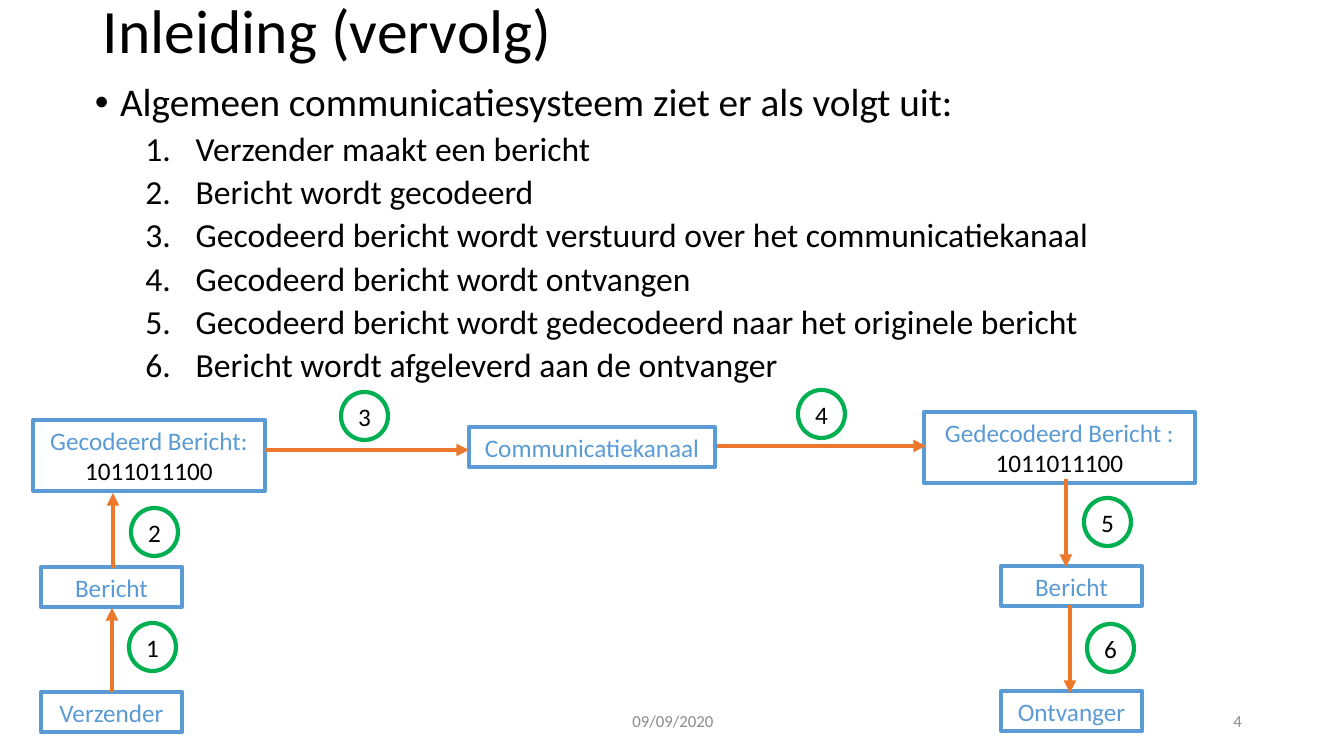
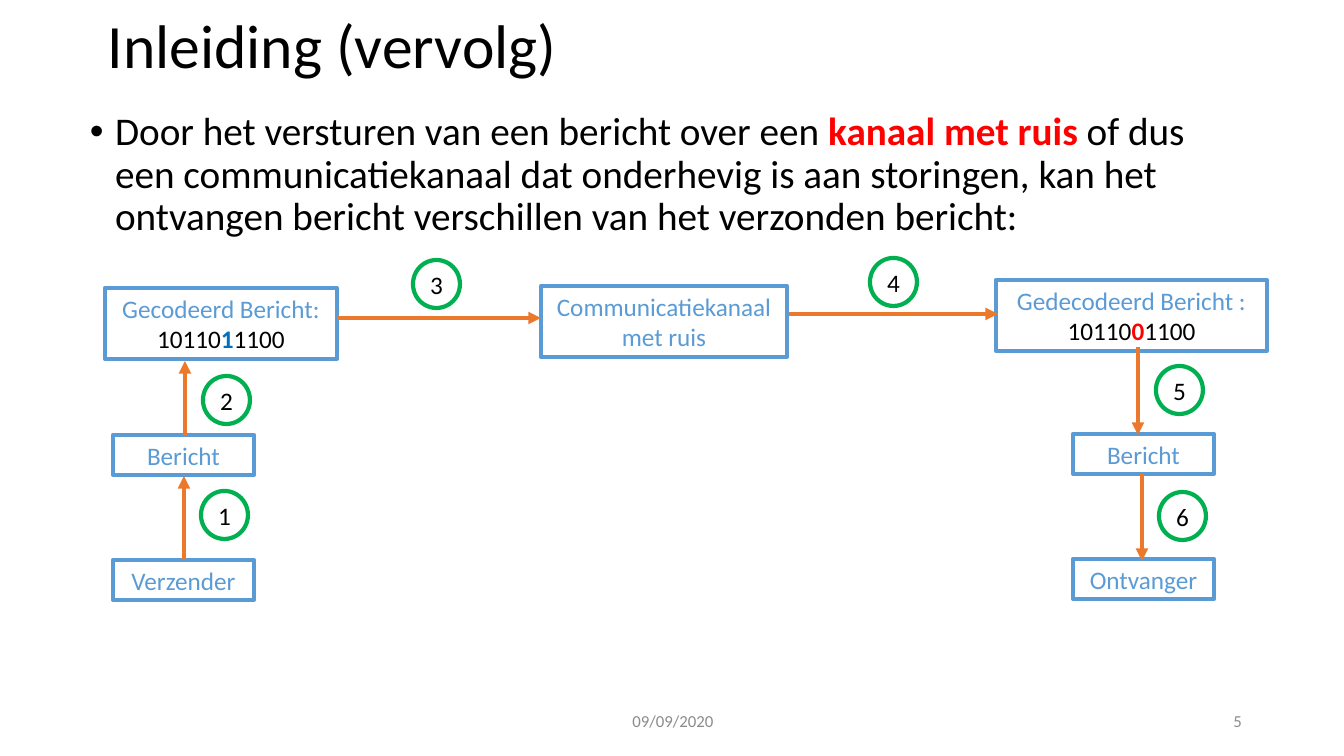
"""Build two slides that explain a communication system step by step."""
from dataclasses import dataclass

from lxml import etree
from pptx import Presentation
from pptx.dml.color import RGBColor
from pptx.enum.shapes import MSO_CONNECTOR, MSO_SHAPE
from pptx.enum.text import MSO_ANCHOR, MSO_AUTO_SIZE, PP_ALIGN
from pptx.oxml.ns import qn
from pptx.util import Inches, Pt

RECT, OVAL = MSO_SHAPE.RECTANGLE, MSO_SHAPE.OVAL
STRAIGHT = MSO_CONNECTOR.STRAIGHT
LEFT, CENTER, RIGHT = PP_ALIGN.LEFT, PP_ALIGN.CENTER, PP_ALIGN.RIGHT
TOP, MIDDLE = MSO_ANCHOR.TOP, MSO_ANCHOR.MIDDLE
FIT, FIXED = MSO_AUTO_SIZE.SHAPE_TO_FIT_TEXT, MSO_AUTO_SIZE.NONE


@dataclass(frozen=True)
class Theme:
    """Hold the shared colours, font and sizes."""
    font: str = "Calibri"
    black: str = "000000"
    white: str = "FFFFFF"
    blue: str = "5B9BD5"
    deep: str = "0070C0"
    red: str = "FF0000"
    green: str = "00B050"
    orange: str = "EC792B"
    gray: str = "8B8B8B"
    title: int = 44
    lead: int = 28
    item: int = 24
    label: int = 18
    foot: int = 12
    line: int = 3


THEME = Theme()
SCALE = 914400 / 100.8
WIDE, HIGH = 1344, 756

TITLE = "Inleiding (vervolg)"
DATE = "09/09/2020"
FIRST = 4
STEPS = [
    "Verzender maakt een bericht",
    "Bericht wordt gecodeerd",
    "Gecodeerd bericht wordt verstuurd over het communicatiekanaal",
    "Gecodeerd bericht wordt ontvangen",
    "Gecodeerd bericht wordt gedecodeerd naar het originele bericht",
    "Bericht wordt afgeleverd aan de ontvanger",
]
NOISE = [
    "Door het versturen van een bericht over een ",
    ("kanaal met ruis ", THEME.red, True),
    "of dus een communicatiekanaal dat onderhevig is aan storingen, "
    "kan het ontvangen bericht verschillen van het verzonden bericht:",
]


def bits(digit, color, bold):
    """Return the runs of a message with one digit styled."""
    return [("10110", THEME.black, False), (digit, color, bold),
            ("1100", THEME.black, False)]


SLIDES = [
    dict(title=(93, -39), body=(85, 78), shift=(0, 0),
         lead=["Algemeen communicatiesysteem ziet er als volgt uit:"],
         steps=STEPS, channel="Communicatiekanaal", place=(427, 40),
         sent=bits("1", THEME.black, False), got=bits("1", THEME.black, False)),
    dict(title=(98, -24), body=(80, 107), shift=(72, -132),
         lead=NOISE, steps=[], channel="Communicatiekanaal met ruis",
         place=(418, 71), sent=bits("1", THEME.deep, True),
         got=bits("0", THEME.red, True)),
]
NODES = [
    ("Verzender", 41, 692),
    ("Bericht", 41, 567),
    ("Bericht", 1001, 566),
    ("Ontvanger", 1001, 691),
]
ARROWS = [
    ((112, 692, 112, 608), (129, 623)),
    ((113, 568, 113, 493), (131, 508)),
    ((265, 450, 469, 450), (341, 392)),
    ((717, 446, 926, 446), (798, 390)),
    ((1066, 479, 1066, 567), (1084, 498)),
    ((1070, 605, 1070, 693), (1087, 624)),
]


def px(*nums):
    """Turn pixels into EMU."""
    return [round(num * SCALE) for num in nums]


def rgb(color):
    """Return the colour object of a hex text."""
    return RGBColor.from_string(color)


def write(shape, paras, size=THEME.label, color=THEME.black, align=LEFT,
          anchor=TOP, fit=FIXED, space=None):
    """Fill a shape with paragraphs made of runs."""
    frame = shape.text_frame
    frame.word_wrap = True
    frame.auto_size = fit
    frame.vertical_anchor = anchor
    for spot, runs in enumerate(paras):
        para = frame.paragraphs[0] if spot == 0 else frame.add_paragraph()
        para.alignment = align
        if space:
            para.line_spacing = space
        for part in runs:
            text, tint, bold = (part, color, False) if isinstance(part, str) else part
            run = para.add_run()
            run.text = text
            run.font.name = THEME.font
            run.font.size = Pt(size)
            run.font.bold = bold
            run.font.color.rgb = rgb(tint)
    return frame.paragraphs


def label(slide, box, paras, **style):
    """Add a text box."""
    return write(slide.shapes.add_textbox(*px(*box)), paras, **style)


def mark(para, tag, left, hang, before, **attrs):
    """Give a paragraph a hanging bullet or number."""
    para.space_before = Pt(before)
    props = para._p.get_or_add_pPr()
    props.set("marL", str(Inches(left)))
    props.set("indent", str(-Inches(hang)))
    face = "Arial" if tag == "a:buChar" else "+mj-lt"
    etree.SubElement(props, qn("a:buFont")).set("typeface", face)
    etree.SubElement(props, qn(tag), attrs)


def body(slide, spot, lead, steps):
    """Add the lead bullet and the numbered steps."""
    box = slide.shapes.add_textbox(*px(*spot, 1167, 559))
    paras = write(box, [lead] + [[step] for step in steps],
                  size=THEME.lead, space=0.9)
    mark(paras[0], "a:buChar", 0.25, 0.25, 10, char="\u2022")
    for para in paras[1:]:
        para.level = 1
        para.runs[0].font.size = Pt(THEME.item)
        mark(para, "a:buAutoNum", 1, 0.5, 5, type="arabicPeriod")


def shape(slide, kind, box, paras, edge, fill=None, **style):
    """Add an outlined shape with centred text."""
    item = slide.shapes.add_shape(kind, *px(*box))
    item.shadow.inherit = False
    if fill:
        item.fill.solid()
        item.fill.fore_color.rgb = rgb(fill)
    else:
        item.fill.background()
    item.line.color.rgb = rgb(edge)
    item.line.width = Pt(THEME.line)
    write(item, paras, align=CENTER, **style)


def arrow(slide, ends):
    """Add a line with an arrowhead at its end."""
    link = slide.shapes.add_connector(STRAIGHT, *px(*ends))
    link.line.color.rgb = rgb(THEME.orange)
    link.line.width = Pt(THEME.line)
    etree.SubElement(link.line._get_or_add_ln(), qn("a:tailEnd")).set("type", "triangle")
    etree.SubElement(link._element.spPr, qn("a:effectLst"))


def chart(slide, page):
    """Draw the boxes, arrows and step numbers."""
    dx, dy = page["shift"]
    top, high = page["place"]
    boxes = [((x, y, 141, 40), [[name]]) for name, x, y in NODES]
    boxes += [
        ((33, 420, 232, 71), [["Gecodeerd Bericht: "] + page["sent"]]),
        ((469, top, 246, high), [[page["channel"]]]),
        ((924, 412, 271, 71), [["Gedecodeerd Bericht :"], page["got"]]),
    ]
    for (x, y, wide, tall), paras in boxes:
        shape(slide, RECT, (x + dx, y + dy, wide, tall), paras, THEME.blue,
              fill=THEME.white, color=THEME.blue, fit=FIT)
    for step, ((x1, y1, x2, y2), (x, y)) in enumerate(ARROWS, 1):
        arrow(slide, (x1 + dx, y1 + dy, x2 + dx, y2 + dy))
        shape(slide, OVAL, (x + dx, y + dy, 47, 48), [[str(step)]],
              THEME.green, anchor=MIDDLE)


def build(deck, page, num):
    """Add one slide."""
    slide = deck.slides.add_slide(deck.slide_layouts[6])
    label(slide, (*page["title"], 1159, 146), [[TITLE]],
          size=THEME.title, anchor=MIDDLE, space=0.9)
    body(slide, page["body"], page["lead"], page["steps"])
    chart(slide, page)
    foot = dict(size=THEME.foot, color=THEME.gray, anchor=MIDDLE)
    label(slide, (950, 701, 302, 40), [[str(num)]], align=RIGHT, **foot)
    label(slide, (446, 701, 454, 40), [[DATE]], align=CENTER, **foot)


deck = Presentation()
deck.slide_width, deck.slide_height = px(WIDE, HIGH)
for num, page in enumerate(SLIDES, FIRST):
    build(deck, page, num)
deck.save("out.pptx")
